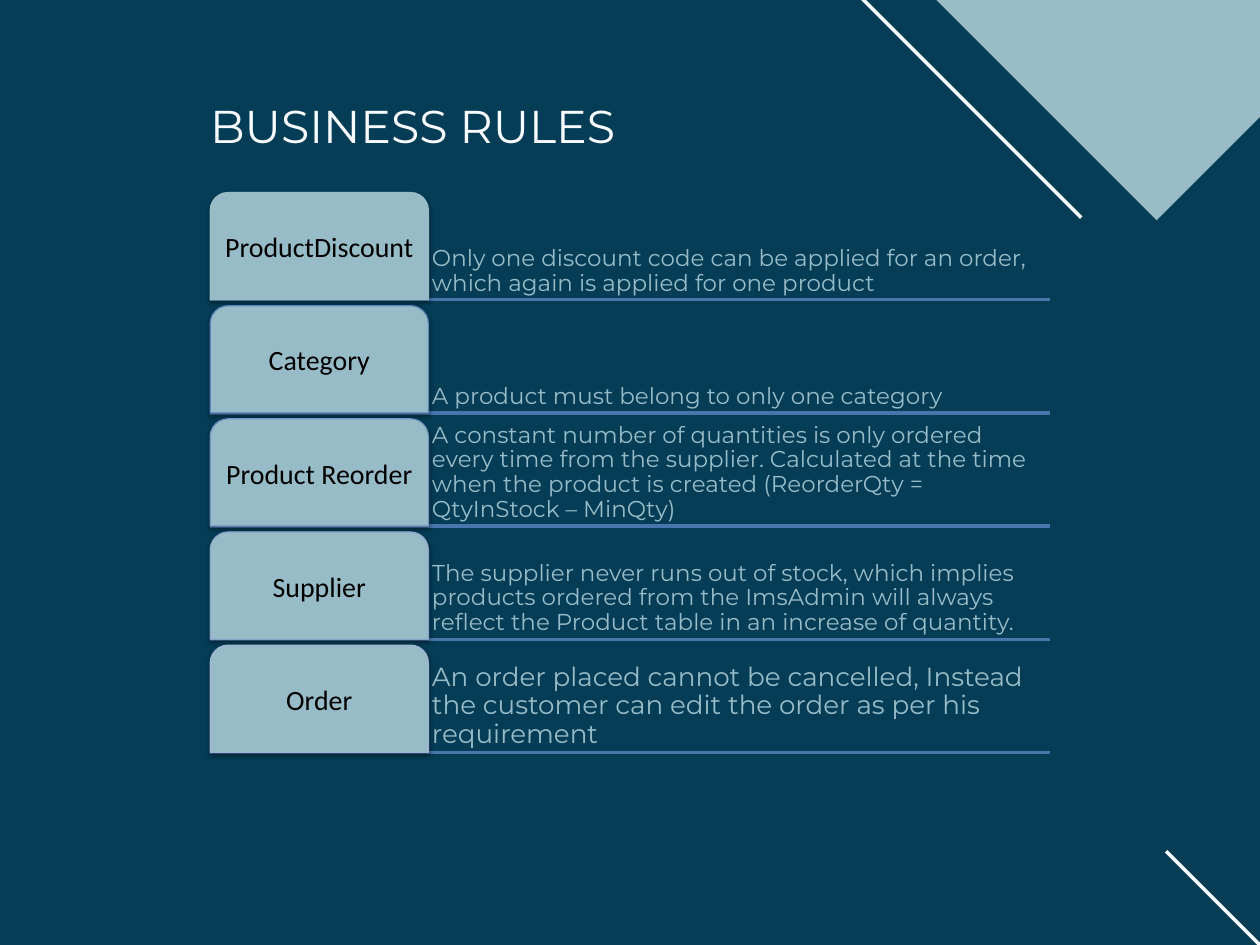
from dataclasses import dataclass

from lxml import etree
from pptx import Presentation
from pptx.dml.color import RGBColor
from pptx.enum.shapes import MSO_CONNECTOR, MSO_SHAPE
from pptx.enum.text import MSO_ANCHOR, MSO_AUTO_SIZE, PP_ALIGN
from pptx.oxml.ns import qn
from pptx.util import Inches, Pt

RECTANGLE = MSO_SHAPE.RECTANGLE
TAB_SHAPE = MSO_SHAPE.ROUND_2_SAME_RECTANGLE
STRAIGHT = MSO_CONNECTOR.STRAIGHT
TOP, MIDDLE, BOTTOM = MSO_ANCHOR.TOP, MSO_ANCHOR.MIDDLE, MSO_ANCHOR.BOTTOM
LEFT, CENTER = PP_ALIGN.LEFT, PP_ALIGN.CENTER
NO_AUTOFIT = MSO_AUTO_SIZE.NONE
TITLE_ONLY = 5


@dataclass(frozen=True)
class Theme:
    """Colours, fonts and type sizes of the slide."""
    background: str = "053D57"
    light: str = "F8FBFD"
    accent: str = "97BCC7"
    rule: str = "4875AC"
    black: str = "000000"
    text_font: str = "Montserrat"
    label_font: str = "Calibri"
    title_size: int = 28
    label_size: int = 17


THEME = Theme()

RULES = [
    ("ProductDiscount", "97BCC7", 14,
     "Only one discount code can be applied for an order, "
     "which again is applied for one product"),
    ("Category", "5B84B9", 14, "A product must belong to only one category"),
    ("Product Reorder", "7393C1", 14,
     "A constant number of quantities is only ordered every time from the "
     "supplier. Calculated at the time when the product is created "
     "(ReorderQty = QtyInStock – MinQty)"),
    ("Supplier", "8BA4CA", 14,
     "The supplier never runs out of stock, which implies products ordered "
     "from the ImsAdmin will always reflect the Product table in an increase "
     "of quantity."),
    ("Order", "A2B4D4", 16,
     "An order placed cannot be cancelled, Instead the customer can edit the "
     "order as per his requirement"),
]


def color(value):
    """Turn a hex string into a colour."""
    return RGBColor.from_string(value)


def write(shape, text, font, size, fill, align, anchor, inset, spacing):
    """Fill a shape with one formatted paragraph."""
    frame = shape.text_frame
    frame.auto_size = NO_AUTOFIT
    frame.word_wrap = True
    frame.vertical_anchor = anchor
    frame.margin_left = frame.margin_right = Inches(inset)
    frame.margin_top = frame.margin_bottom = Inches(inset)
    frame.text = text
    paragraph = frame.paragraphs[0]
    paragraph.alignment = align
    paragraph.line_spacing = spacing
    paragraph.font.name = font
    paragraph.font.size = Pt(size)
    paragraph.font.color.rgb = color(fill)


def add_soft_shadow(shape):
    """Give a shape a faint shadow straight below it."""
    effects = etree.SubElement(shape._element.spPr, qn("a:effectLst"))
    shadow = etree.SubElement(effects, qn("a:outerShdw"), blurRad=str(Pt(3.1)),
                              dist=str(Pt(1.6)), dir="5400000", rotWithShape="0")
    tint = etree.SubElement(shadow, qn("a:srgbClr"), val=THEME.black)
    etree.SubElement(tint, qn("a:alpha"), val="38000")


def add_title(slide, left, top, width, height):
    """Place and format the title placeholder."""
    title = slide.shapes.title
    title.left, title.top = Inches(left), Inches(top)
    title.width, title.height = Inches(width), Inches(height)
    write(title, "BUSINESS RULES", THEME.text_font, THEME.title_size,
          THEME.light, LEFT, TOP, 0, Pt(33.6))


def add_diagonal(slide, left, top, width, height, fill):
    """Add a plain rectangle turned to a diagonal."""
    shape = slide.shapes.add_shape(RECTANGLE, Inches(left), Inches(top),
                                   Inches(width), Inches(height))
    shape.rotation = 315
    shape.shadow.inherit = False
    shape.fill.solid()
    shape.fill.fore_color.rgb = color(fill)
    shape.line.fill.background()


def add_decoration(slide):
    """Add the corner diamond and the two diagonal stripes."""
    add_diagonal(slide, 7.85, -2.83, 3.89, 3.89, THEME.accent)
    add_diagonal(slide, 7.89, -1.18, 0.03, 3.54, THEME.light)
    add_diagonal(slide, 10.6, 6.9, 0.03, 2.09, THEME.light)


def add_rule_line(slide, left, right, y):
    """Draw the line under one row."""
    line = slide.shapes.add_connector(STRAIGHT, Inches(left), Inches(y),
                                      Inches(right), Inches(y))
    line.line.color.rgb = color(THEME.rule)
    line.line.width = Pt(2)
    etree.SubElement(line._element.spPr, qn("a:effectLst"))


def add_rule(slide, rule, left, top, width, height):
    """Add one row: underline, label tab and description."""
    label, outline, size, description = rule
    tab_width = 0.26 * width
    add_rule_line(slide, left, left + width, top + height)

    box = slide.shapes.add_textbox(Inches(left + tab_width), Inches(top),
                                   Inches(width - tab_width), Inches(height))
    write(box, description, THEME.text_font, size, THEME.accent,
          LEFT, BOTTOM, 0.03, 0.9)

    tab = slide.shapes.add_shape(TAB_SHAPE, Inches(left), Inches(top),
                                 Inches(tab_width), Inches(height))
    tab.fill.solid()
    tab.fill.fore_color.rgb = color(THEME.accent)
    tab.line.color.rgb = color(outline)
    tab.line.width = Pt(0.75)
    add_soft_shadow(tab)
    write(tab, label, THEME.label_font, THEME.label_size, THEME.black,
          CENTER, MIDDLE, 0.04, 0.9)


def add_rules(slide, left, top, width, height, gap):
    """Stack the rules in equal rows."""
    row_height = (height - gap * (len(RULES) - 1)) / len(RULES)
    for index, rule in enumerate(RULES):
        add_rule(slide, rule, left, top + index * (row_height + gap),
                 width, row_height)


def main():
    """Build and save the presentation."""
    presentation = Presentation()
    presentation.slide_width = Inches(10.67)
    presentation.slide_height = Inches(8)
    slide = presentation.slides.add_slide(presentation.slide_layouts[TITLE_ONLY])
    slide.background.fill.solid()
    slide.background.fill.fore_color.rgb = color(THEME.background)
    add_title(slide, 1.78, 0.83, 5.7, 0.43)
    add_decoration(slide)
    add_rules(slide, 1.78, 1.63, 7.11, 4.74, 0.05)
    presentation.save("out.pptx")


if __name__ == "__main__":
    main()
